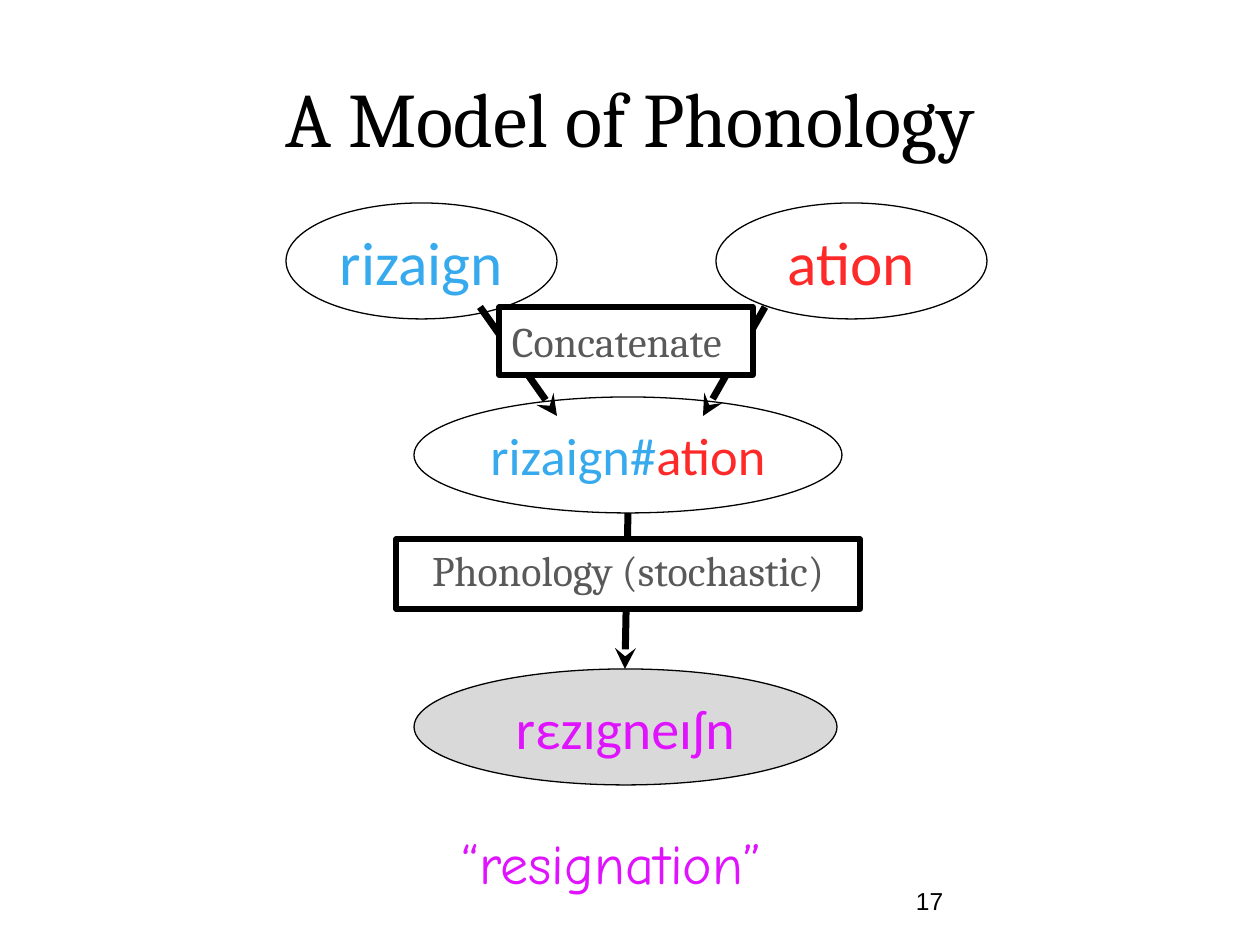
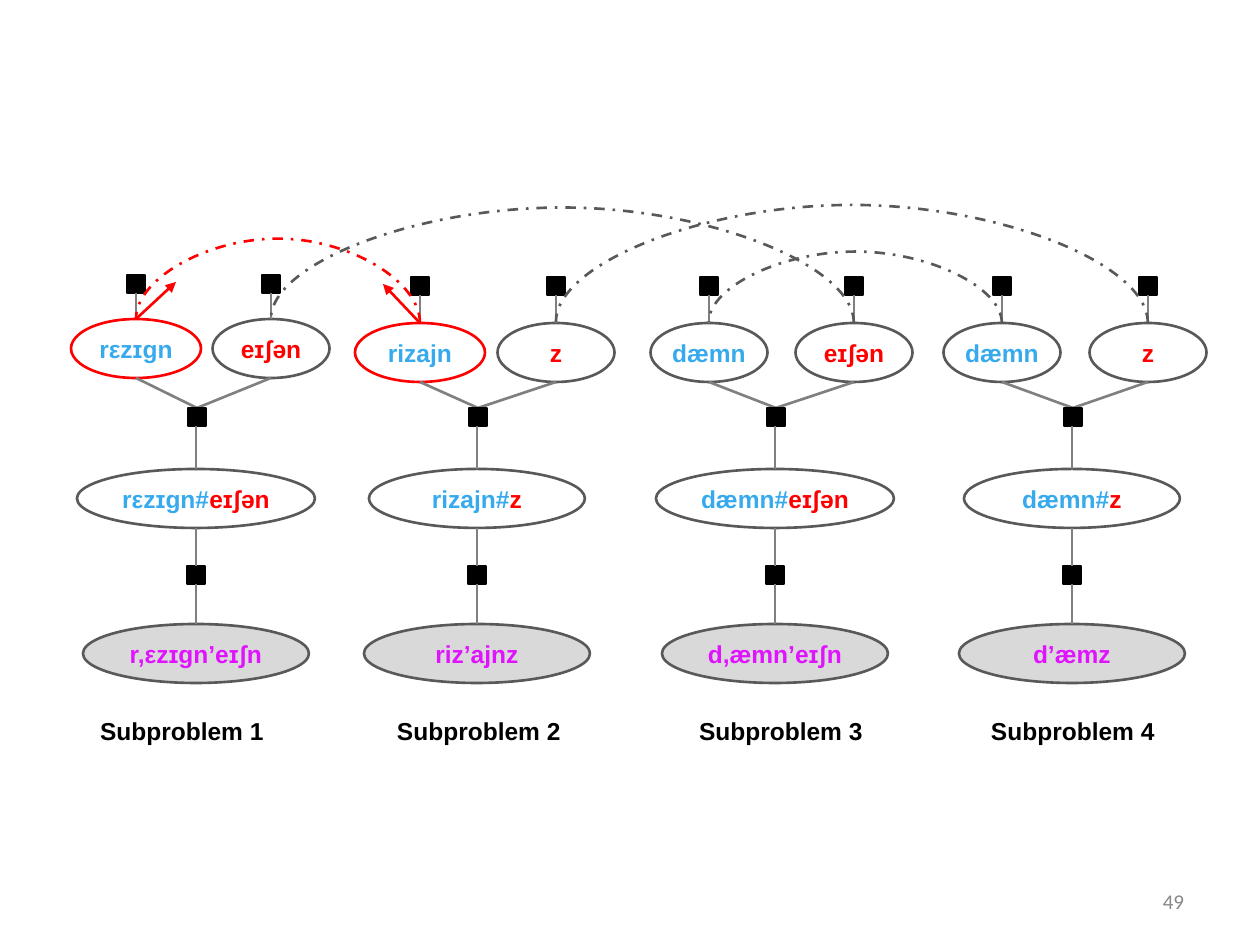
"""Build two phonology slides: a generative model and its factor graph."""
from collections import namedtuple
from dataclasses import dataclass

from lxml import etree
from pptx import Presentation
from pptx import util as u
from pptx.dml import color
from pptx.enum import dml, shapes, text
from pptx.oxml import ns

PX = 914400 // 126


@dataclass(frozen=True)
class Theme:
    """Colours, fonts and type sizes shared by the slides."""
    black: str = "000000"
    white: str = "FFFFFF"
    stem: str = "37AAED"
    suffix: str = "FE2A2A"
    red: str = "FF0000"
    surface: str = "E013FF"
    observed: str = "D9D9D9"
    outline: str = "595959"
    edge: str = "808080"
    number: str = "888888"
    serif: str = "Cambria"
    sans: str = "Calibri"
    graph: str = "Arial"
    spoken: str = "Comic Neue"
    title_size: int = 44
    morph_size: int = 35
    word_size: int = 32
    joined_size: int = 30
    step_size: int = 24
    graph_size: int = 14
    number_size: int = 12


THEME = Theme()
Style = namedtuple("Style", "font size bold", defaults=(False,))
Box = namedtuple("Box", "left top width height")
Subproblem = namedtuple(
    "Subproblem", "axis top stem suffix surface stem_x suffix_x joined_width label_x stem_line")

GRAPH = Style(THEME.graph, THEME.graph_size, True)
STEP = Style(THEME.serif, THEME.step_size)
WIDE_INSETS = (13, 6)
TIGHT_INSETS = (4, 4)
CENTER = text.PP_ALIGN.CENTER
LEFT = text.PP_ALIGN.LEFT
MIDDLE = text.MSO_ANCHOR.MIDDLE
TOP = text.MSO_ANCHOR.TOP

SUBPROBLEMS = [
    Subproblem(196, 275, "rεzɪgn", "eɪʃən", "r,εzɪgn’eɪʃn", -60, 75, 238, -100, THEME.red),
    Subproblem(477, 277, "rizajn", "z", "riz’ajnz", -57, 79, 216, -84, THEME.red),
    Subproblem(775, 277, "dæmn", "eɪʃən", "d,æmn’eɪʃn", -66, 79, 238, -80, THEME.outline),
    Subproblem(1072, 277, "dæmn", "z", "d’æmz", -70, 76, 216, -85, THEME.outline),
]


def px(*lengths):
    """Turn px lengths into EMU."""
    return [u.Emu(round(length * PX)) for length in lengths]


def rgb(code):
    """Turn a hex code into a colour."""
    return color.RGBColor.from_string(code)


def write(shape, runs, style, align=CENTER, anchor=MIDDLE, insets=WIDE_INSETS):
    """Write coloured runs into the single paragraph of a shape."""
    frame = shape.text_frame
    frame.word_wrap = True
    frame.vertical_anchor = anchor
    frame.margin_left = frame.margin_right = px(insets[0])[0]
    frame.margin_top = frame.margin_bottom = px(insets[1])[0]
    paragraph = frame.paragraphs[0]
    paragraph.alignment = align
    for words, colour in runs:
        run = paragraph.add_run()
        run.text = words
        run.font.name = style.font
        run.font.size = u.Pt(style.size)
        run.font.bold = style.bold
        run.font.color.rgb = rgb(colour)


def add_label(slide, box, runs, style, **layout):
    """Add a text box."""
    write(slide.shapes.add_textbox(*px(*box)), runs, style, **layout)


def add_node(slide, kind, box, fill, line, weight):
    """Add an outlined preset shape without a shadow."""
    shape = slide.shapes.add_shape(kind, *px(*box))
    shape.shadow.inherit = False
    shape.fill.solid()
    shape.fill.fore_color.rgb = rgb(fill)
    shape.line.color.rgb = rgb(line)
    shape.line.width = u.Pt(weight)
    return shape


def add_oval(slide, box, runs, style, fill=THEME.white, line=THEME.black, weight=0.75,
             insets=WIDE_INSETS):
    """Add an ellipse holding centred text."""
    oval = add_node(slide, shapes.MSO_SHAPE.OVAL, box, fill, line, weight)
    write(oval, runs, style, insets=insets)


def add_step(slide, box, words, **layout):
    """Add a heavy process box."""
    step = add_node(slide, shapes.MSO_SHAPE.RECTANGLE, box, THEME.white, THEME.black, 3)
    write(step, [(words, THEME.outline)], STEP, **layout)


def add_line(slide, start, end, colour=THEME.edge, weight=1.5, head=None,
             kind=shapes.MSO_CONNECTOR.STRAIGHT):
    """Add a connector, with an arrowhead at its end if one is named."""
    connector = slide.shapes.add_connector(kind, *px(*start, *end))
    connector.line.color.rgb = rgb(colour)
    connector.line.width = u.Pt(weight)
    if head:
        tail = etree.SubElement(connector.line._get_or_add_ln(), ns.qn("a:tailEnd"))
        tail.set("type", head)
    etree.SubElement(connector.element.spPr, ns.qn("a:effectLst"))
    return connector


def add_arc(slide, right, left, apex, colour=THEME.outline):
    """Add a dashed dome from the right point over the apex to the left point."""
    span = right[0] - left[0]
    drop = max(right[1] - left[1], 1)
    middle_x = (right[0] + left[0]) / 2
    middle_y = right[1] - drop / 2
    arc = add_line(slide, (middle_x + drop / 2, middle_y - span / 2),
                   (middle_x - drop / 2, middle_y + span / 2), colour,
                   kind=shapes.MSO_CONNECTOR.CURVE)
    arc.line.dash_style = dml.MSO_LINE.DASH_DOT
    properties = arc.element.spPr
    properties.find(ns.qn("a:xfrm")).set("rot", "5400000")
    adjustments = properties.find(ns.qn("a:prstGeom")).find(ns.qn("a:avLst"))
    guide = etree.SubElement(adjustments, ns.qn("a:gd"))
    guide.set("name", "adj1")
    guide.set("fmla", f"val {round((right[1] - apex) / drop * 100000)}")


def add_factor(slide, x, top):
    """Add a black factor square centred on x."""
    add_node(slide, shapes.MSO_SHAPE.RECTANGLE, Box(x - 9, top, 18, 18),
             THEME.black, THEME.black, 1.5)


def add_number(slide, number, colour, style, align):
    """Add the slide number."""
    add_label(slide, Box(903, 876, 294, 50), [(number, colour)], style, align=align)


def add_variable(slide, x, top, width, runs, fill=THEME.white, line=THEME.outline):
    """Add a factor graph variable centred on x."""
    add_oval(slide, Box(x - width / 2, top, width, 59), runs, GRAPH, fill, line, 1.5,
             TIGHT_INSETS)


def morph_points(problem):
    """Return the top points of the stem and suffix ovals."""
    top = 319 if problem.top == 275 else 323
    return (problem.axis + problem.stem_x, top), (problem.axis + problem.suffix_x, top)


def add_subproblem(slide, number, problem):
    """Draw one column of the factor graph around its axis."""
    axis = problem.axis
    stem = (problem.stem, THEME.stem)
    suffix = (problem.suffix, THEME.red)
    stem_width = 130 if problem.stem_line == THEME.red else 117
    join, underlying, phonology, surface = 408, 469, 566, 624
    morphs = zip(morph_points(problem), (stem, suffix), (stem_width, 117),
                 (problem.stem_line, THEME.outline))
    for (x, top), run, width, line in morphs:
        add_variable(slide, x, top, width, [run], line=line)
        add_factor(slide, x, problem.top)
        add_line(slide, (x, problem.top + 18), (x, top))
        add_line(slide, (x, top + 59), (axis + 1, join))
    add_variable(slide, axis, underlying, problem.joined_width,
                 [(problem.stem + "#", THEME.stem), suffix])
    add_variable(slide, axis, surface, 226, [(problem.surface, THEME.surface)],
                 THEME.observed)
    add_factor(slide, axis + 1, join)
    add_factor(slide, axis, phonology)
    for start, end in ((join + 18, underlying), (underlying + 59, phonology),
                       (phonology + 18, surface)):
        add_line(slide, (axis, start), (axis, end))
    add_label(slide, Box(axis + problem.label_x, 712, 198, 57),
              [(f"Subproblem {number}", THEME.black)], GRAPH,
              align=LEFT, anchor=TOP, insets=TIGHT_INSETS)


def build_model(slide):
    """Draw the generative model slide."""
    add_label(slide, Box(63, 38, 1134, 158), [("A Model of Phonology", THEME.black)],
              Style(THEME.serif, THEME.title_size))
    morph = Style(THEME.sans, THEME.morph_size)
    add_oval(slide, Box(286, 203, 271, 116), [("rizaign", THEME.stem)], morph)
    add_oval(slide, Box(716, 203, 271, 116), [("ation", THEME.suffix)], morph)
    add_oval(slide, Box(414, 397, 428, 116),
             [("rizaign#", THEME.stem), ("ation", THEME.suffix)],
             Style(THEME.sans, THEME.joined_size))
    add_oval(slide, Box(414, 669, 423, 116), [("rεzɪgneɪʃn", THEME.surface)],
             Style(THEME.sans, THEME.word_size), THEME.observed)
    for start, end in (((765, 307), (703, 416)), ((480, 307), (557, 416)),
                       ((628, 513), (625, 669))):
        add_line(slide, start, end, THEME.black, 4, "stealth")
    add_label(slide, Box(449, 823, 436, 97), [("“resignation”", THEME.surface)],
              Style(THEME.spoken, THEME.word_size), align=LEFT, anchor=TOP)
    add_step(slide, Box(499, 307, 254, 68), "Concatenate", align=LEFT)
    add_step(slide, Box(396, 539, 464, 70), "Phonology (stochastic)", anchor=TOP)
    add_number(slide, "17", THEME.black, Style(THEME.graph, THEME.graph_size), LEFT)


def build_factor_graph(slide):
    """Draw the four linked subproblems slide."""
    for number, problem in enumerate(SUBPROBLEMS, 1):
        add_subproblem(slide, number, problem)
    first, second, third, fourth = map(morph_points, SUBPROBLEMS)
    add_arc(slide, second[0], first[0], 239, THEME.red)
    add_arc(slide, fourth[0], third[0], 251)
    add_arc(slide, third[1], first[1], 208)
    add_arc(slide, fourth[1], second[1], 204)
    add_line(slide, first[0], (176, 282), THEME.red, head="triangle")
    add_line(slide, second[0], (383, 284), THEME.red, head="triangle")
    add_number(slide, "49", THEME.number, Style(THEME.sans, THEME.number_size),
               text.PP_ALIGN.RIGHT)


def main():
    """Build and save the presentation."""
    presentation = Presentation()
    presentation.slide_width, presentation.slide_height = px(1260, 945)
    for build in (build_model, build_factor_graph):
        build(presentation.slides.add_slide(presentation.slide_layouts[6]))
    presentation.save("out.pptx")


if __name__ == "__main__":
    main()
